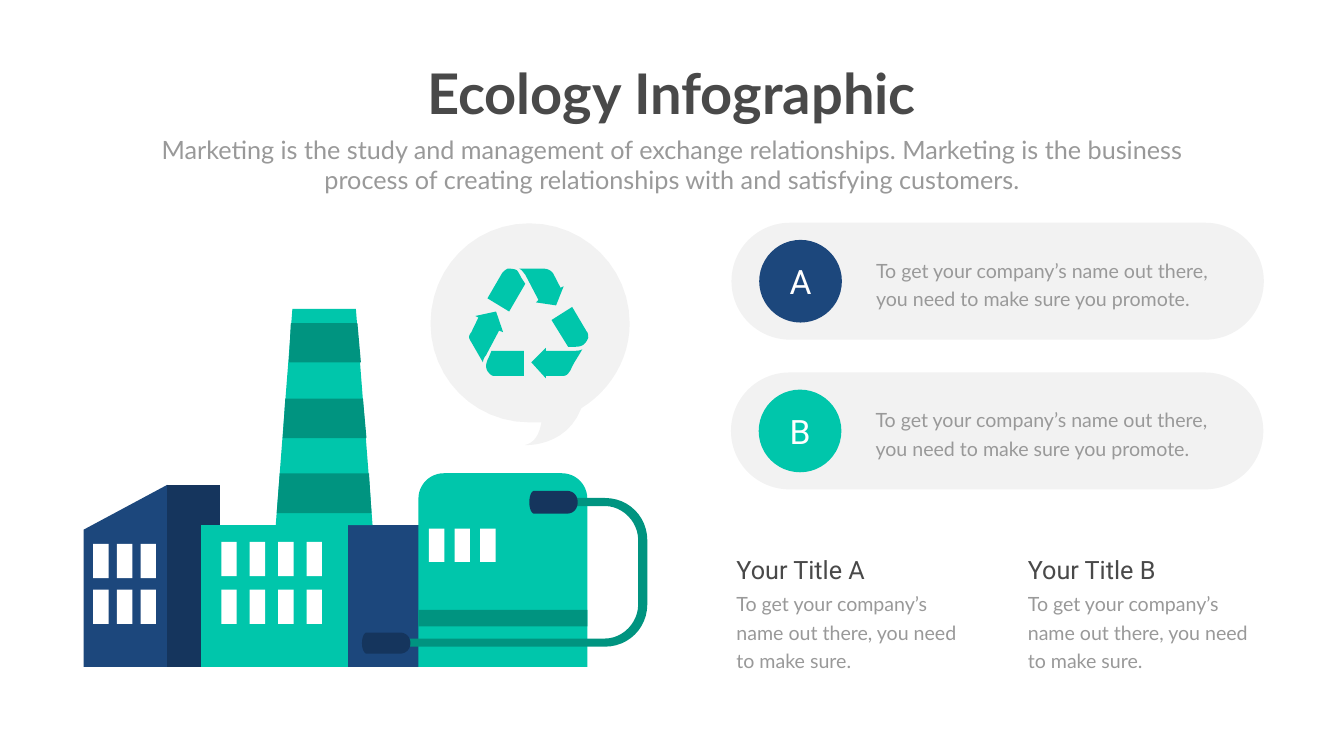
from dataclasses import dataclass

from lxml import etree
from pptx import Presentation
from pptx.dml.color import RGBColor
from pptx.enum.shapes import MSO_SHAPE
from pptx.enum.text import MSO_ANCHOR, MSO_AUTO_SIZE, PP_ALIGN
from pptx.oxml.ns import qn
from pptx.util import Pt

ROUNDED, OVAL, RECT = MSO_SHAPE.ROUNDED_RECTANGLE, MSO_SHAPE.OVAL, MSO_SHAPE.RECTANGLE
DOMED = MSO_SHAPE.ROUND_2_SAME_RECTANGLE
CENTER, LEFT = PP_ALIGN.CENTER, PP_ALIGN.LEFT
TOP, MIDDLE = MSO_ANCHOR.TOP, MSO_ANCHOR.MIDDLE
NO_FIT = MSO_AUTO_SIZE.NONE

COLORS = {
    "navy": "1C477C", "dark navy": "15355D", "green": "00C6AB", "dark green": "009480",
    "white": "FFFFFF", "haze": "808080", "ink": "494949", "grey": "999999",
}
CURVE_STEPS = 12
PROMOTE = "To get your company’s name out there, you need to make sure you promote."
MAKE_SURE = "To get your company’s name out there, you need to make sure."


@dataclass(frozen=True)
class TextStyle:
    font: str
    size: float
    color: str
    bold: bool = False
    align: int = LEFT
    leading: float | None = None


@dataclass(frozen=True)
class Outline:
    color: str
    steps: list[tuple[float, ...]]


@dataclass(frozen=True)
class WindowGrid:
    left: float
    rows: list[float]
    columns: int
    pitch: float
    height: float


@dataclass(frozen=True)
class Card:
    letter: str
    color: str
    left: float
    top: float


@dataclass(frozen=True)
class Topic:
    heading: str
    left: float


TITLE = TextStyle("Lato", 80, "ink", bold=True, align=CENTER)
SUBTITLE = TextStyle("Lato", 36, "grey", align=CENTER)
BODY = TextStyle("Lato", 28, "grey", leading=40.8)
HEADING = TextStyle("Roboto", 36, "ink")
LETTER = TextStyle("Roboto", 48, "white", align=CENTER)

BUILDINGS = [
    Outline("navy", [(239, 692.6), (119.5, 756.7), (119.5, 952.6), (239, 952.6)]),
    Outline("dark navy", [(239, 692.6), (314.6, 692.6), (314.6, 952.6), (239, 952.6)]),
    Outline("green", [(287.3, 750.2), (499.7, 750.2), (499.7, 952.6), (287.3, 952.6)]),
    Outline("navy", [(496.8, 750.2), (611.3, 750.2), (611.3, 952.6), (496.8, 952.6)]),
    Outline("green", [(417.6, 441.4), (508.3, 441.4), (532.1, 750.2), (393.8, 750.2)]),
    Outline("dark green", [(415.4, 461.5), (510.5, 461.5), (515.5, 517.7), (412.6, 517.7)]),
    Outline("dark green", [(407.5, 569.5), (518.4, 569.5), (523.4, 625.7), (403.9, 625.7)]),
    Outline("dark green", [(399.6, 676.1), (527, 676.1), (530.6, 733), (395.3, 733)]),
]
PIPE = Outline("dark green", [
    (864, 923.8), (572.4, 923.8), (572.4, 912.2), (864, 912.2),
    (889.2, 912.2, 911.5, 889.9, 911.5, 863.3), (911.5, 771.8),
    (911.5, 745.2, 889.2, 722.9, 864, 722.9), (781.2, 722.9), (781.2, 711.4), (864, 711.4),
    (897.8, 711.4, 924.5, 738, 924.5, 771.8), (924.5, 863.3),
    (924.5, 897.1, 897.8, 923.8, 864, 923.8),
])
BUBBLE = Outline("haze", [
    (899.3, 462.2), (899.3, 383, 835.2, 319, 756, 319),
    (676.8, 319, 614.9, 383, 614.9, 462.2), (614.9, 539.3, 676.8, 603.4, 756, 603.4),
    (773.3, 603.4), (771.1, 615.6, 766.1, 632.2, 749.5, 635.8),
    (749.5, 635.8, 808.6, 639.4, 830.2, 583.2), (871.2, 558, 899.3, 512.6, 899.3, 462.2),
])
RECYCLING = [
    [(840.2, 482.4), (840.2, 480.2, 840.2, 475.9, 838.1, 473.8), (817.2, 438.5),
     (787.7, 457.2), (811.4, 495.4), (821.5, 495.4), (830.2, 495.4, 835.9, 493.2, 840.2, 482.4)],
    [(831.6, 499), (828, 501.1, 823.7, 501.1, 821.5, 501.1), (779.8, 501.1), (779.8, 496.8),
     (758.9, 517.7), (779.8, 540.7), (779.8, 537.1), (802.8, 537.1),
     (809.3, 537.1, 810.7, 535, 815, 528.5), (819.4, 517.7, 825.8, 509.8, 831.6, 499)],
    [(698.4, 532.8), (702, 537.1, 704.2, 537.1, 708.5, 537.1), (748.1, 537.1),
     (748.1, 501.1), (702, 501.1), (698.4, 509.8), (694.1, 517.7, 691.9, 526.3, 698.4, 532.8)],
    [(718.6, 474.5), (708.5, 445), (679, 451.4), (683.3, 453.6), (673.2, 474.5),
     (668.9, 480.2, 668.9, 482.4, 673.2, 488.9), (689.8, 517.7),
     (689.8, 514.1, 691.9, 509.8, 694.1, 507.6), (712.8, 472.3)],
    [(725, 383.8), (720.7, 385.9, 719.3, 388.1, 717.1, 390.2), (696.2, 426.2), (727.2, 445),
     (750.2, 405.4), (744.5, 396.7), (742.3, 392.4, 740.2, 388.1, 738, 385.9),
     (733.7, 383.8, 729.4, 383.8, 725, 383.8)],
    [(765.4, 432), (794.2, 436.3), (805, 409), (800.6, 411.1), (789.8, 390.2),
     (786.2, 385.9, 781.9, 383.8, 775.4, 383.8), (741.6, 383.8),
     (745.9, 385.9, 748.1, 390.2, 750.2, 392.4), (769, 428.4)],
]
WINDOWS = [
    WindowGrid(316.1, [774, 842.4], 4, 40.6, 49),
    WindowGrid(133.2, [776.9, 842.4], 3, 33.8, 49),
    WindowGrid(612.7, [755.3], 3, 36.6, 47.5),
]
CARDS = [Card("A", "navy", 1044.7, 318.2), Card("B", "green", 1044, 532.1)]
TOPICS = [Topic("Your Title A", 1044.7), Topic("Your Title B", 1460.9)]


def paint(shape, color: str) -> None:
    shape.shadow.inherit = False
    shape.line.fill.background()
    shape.fill.solid()
    shape.fill.fore_color.rgb = RGBColor.from_string(COLORS[color])
    if color == "haze":
        tint = shape.fill._xPr.find(qn("a:solidFill"))[0]
        etree.SubElement(tint, qn("a:alpha")).set("val", "10000")


def block(slide, preset, left: float, top: float, width: float, height: float, color: str):
    shape = slide.shapes.add_shape(preset, Pt(left), Pt(top), Pt(width), Pt(height))
    paint(shape, color)
    return shape


def flatten(steps: list[tuple[float, ...]]) -> list[tuple[int, int]]:
    points = [steps[0]]
    for step in steps[1:]:
        if len(step) == 2:
            points.append(step)
            continue
        start, first, second, end = points[-1], step[:2], step[2:4], step[4:]
        for i in range(1, CURVE_STEPS + 1):
            t = i / CURVE_STEPS
            u = 1 - t
            points.append(tuple(
                u**3 * a + 3 * u * u * t * b + 3 * u * t * t * c + t**3 * d
                for a, b, c, d in zip(start, first, second, end)))
    return [(Pt(x), Pt(y)) for x, y in points]


def draw_outline(slide, outline: Outline) -> None:
    points = flatten(outline.steps)
    builder = slide.shapes.build_freeform(*points[0])
    builder.add_line_segments(points[1:], close=True)
    paint(builder.convert_to_shape(), outline.color)


def nozzle(left: float, top: float, height: float) -> Outline:
    def place(*values: float) -> tuple[float, ...]:
        return tuple(top + v * height if i % 2 else left + v for i, v in enumerate(values))

    return Outline("dark navy", [
        place(54, 0), place(6.5, 0), place(3.6, 0, 0, 0.2, 0, 0.5),
        place(0, 0.8, 3.6, 1, 6.5, 1), place(54, 1),
        place(62.6, 1, 69.1, 0.8, 69.1, 0.5), place(69.1, 0.2, 62.6, 0, 54, 0)])


def write(shape, text: str, style: TextStyle, anchor=TOP, wrap: bool = True) -> None:
    frame = shape.text_frame
    frame.auto_size, frame.word_wrap, frame.vertical_anchor = NO_FIT, wrap, anchor
    paragraph = frame.paragraphs[0]
    paragraph.alignment = style.align
    if style.leading:
        paragraph.line_spacing = Pt(style.leading)
    run = paragraph.add_run()
    run.text = text
    run.font.name, run.font.size, run.font.bold = style.font, Pt(style.size), style.bold
    run.font.color.rgb = RGBColor.from_string(COLORS[style.color])


def text_box(slide, left: float, top: float, width: float, height: float,
             text: str, style: TextStyle) -> None:
    write(slide.shapes.add_textbox(Pt(left), Pt(top), Pt(width), Pt(height)), text, style)


def draw_windows(slide, grid: WindowGrid) -> None:
    for top in grid.rows:
        for column in range(grid.columns):
            block(slide, RECT, grid.left + column * grid.pitch, top, 22, grid.height, "white")


def draw_card(slide, card: Card) -> None:
    block(slide, ROUNDED, card.left, card.top, 760.3, 167, "haze").adjustments[0] = 0.5
    badge = block(slide, OVAL, card.left + 39.6, card.top + 24.5, 118.1, 118.1, card.color)
    write(badge, card.letter, LETTER, MIDDLE)
    text_box(slide, card.left + 199.4, card.top + 40.3, 522.7, 85.7, PROMOTE, BODY)


def draw_topic(slide, topic: Topic) -> None:
    text_box(slide, topic.left, 835.2, 343.4, 127.4, MAKE_SURE, BODY)
    text_box(slide, topic.left, 788.4, 343.4, 51.1, topic.heading, HEADING)


def main() -> None:
    deck = Presentation()
    deck.slide_width, deck.slide_height = Pt(1919.52), Pt(1080)
    slide = deck.slides.add_slide(deck.slide_layouts[5])

    title = slide.shapes.title
    title.left, title.top, title.width, title.height = Pt(595.4), Pt(80.6), Pt(727.9), Pt(104.4)
    write(title, "Ecology Infographic", TITLE, wrap=False)
    text_box(slide, 210.2, 187.9, 1499, 94.3,
             "Marketing is the study and management of exchange relationships. Marketing is the "
             "business process of creating relationships with and satisfying customers.", SUBTITLE)

    for building in BUILDINGS:
        draw_outline(slide, building)
    block(slide, DOMED, 597.6, 676.1, 241.2, 276.5, "green").adjustments[0] = 0.15
    block(slide, RECT, 597.6, 871.2, 241.2, 23.8, "dark green")
    for part in (PIPE, nozzle(517, 903.6, 30.2), nozzle(756, 701.3, 32.4), BUBBLE):
        draw_outline(slide, part)
    for arrow in RECYCLING:
        draw_outline(slide, Outline("green", arrow))
    for grid in WINDOWS:
        draw_windows(slide, grid)
    for card in CARDS:
        draw_card(slide, card)
    for topic in TOPICS:
        draw_topic(slide, topic)
    deck.save("out.pptx")


if __name__ == "__main__":
    main()
